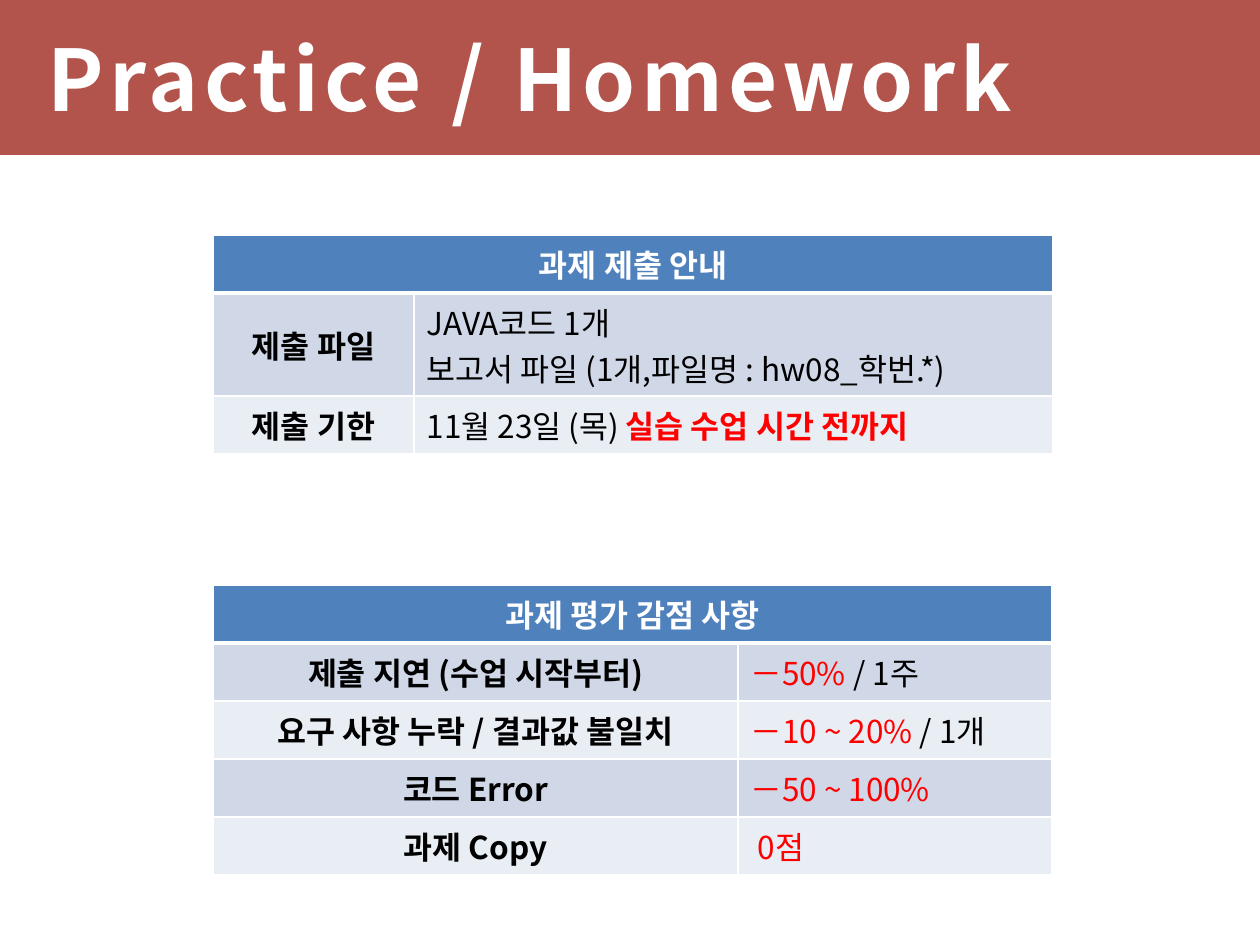
from lxml.etree import SubElement
from pptx import Presentation
from pptx.dml.color import RGBColor
from pptx.enum.shapes import MSO_SHAPE as SHAPE
from pptx.enum.text import MSO_ANCHOR as ANCHOR, PP_ALIGN as ALIGN
from pptx.oxml.ns import qn
from pptx.util import Pt

PX = 914400 // 126
FONT = "Noto Sans CJK KR"
WHITE = RGBColor(0xFF, 0xFF, 0xFF)
BLACK = RGBColor(0, 0, 0)
RED = RGBColor(0xFF, 0, 0)
BRICK = RGBColor(0x9B, 0x1F, 0x13)
BLUE = RGBColor(0x4F, 0x81, 0xBD)
BANDS = RGBColor(0xD0, 0xD8, 0xE8), RGBColor(0xE9, 0xED, 0xF4)

HEAD = {"size": Pt(18), "bold": True, "color": WHITE}
LABEL = {**HEAD, "color": BLACK}
BODY = {**LABEL, "bold": False}
ALERT = {**BODY, "color": RED}
STRONG = {**ALERT, "bold": True}
TITLE = {**HEAD, "size": Pt(48.5)}

SUBMISSION = [
    ("제출 파일", [[("JAVA코드 1개", BODY)],
               [("보고서 파일 (1개,파일명 : hw08_학번.*)", BODY)]]),
    ("제출 기한", [[("11월 23일 (목) ", BODY), ("실습 수업 시간 전까지", STRONG)]]),
]
DEDUCTIONS = [
    ("제출 지연 (수업 시작부터)", [[("－50%", ALERT), (" / 1주", BODY)]]),
    ("요구 사항 누락 / 결과값 불일치", [[("－10 ~ 20%", ALERT), (" / 1개", BODY)]]),
    ("코드 Error", [[("－50 ~ 100%", ALERT)]]),
    ("과제 Copy", [[(" 0점", ALERT)]]),
]


def px(*values):
    return [v * PX for v in values]


def add_run(p, text, fmt):
    r = p.add_run()
    r.text = text
    r.font.name = FONT
    for key, value in fmt.items():
        if key == "color":
            r.font.color.rgb = value
        else:
            setattr(r.font, key, value)
    SubElement(r.font._element, qn("a:ea"), typeface=FONT)
    return r


def write(tf, paragraphs, align=ALIGN.LEFT):
    for i, runs in enumerate(paragraphs):
        p = tf.add_paragraph() if i else tf.paragraphs[0]
        p.alignment = align
        for text, fmt in runs:
            add_run(p, text, fmt)


def add_banner(s):
    sp = s.shapes.add_shape(SHAPE.RECTANGLE, *px(0, 0, 1260, 155))
    sp.shadow.inherit = False
    sp.fill.solid()
    sp.fill.fore_color.rgb = BRICK
    sp.line.fill.background()
    color = sp.fill._xPr.find(qn("a:solidFill"))[0]
    SubElement(color, qn("a:alpha"), val="76000")


def add_title(s, text):
    tf = s.shapes.add_textbox(*px(35, 0, 1191, 155)).text_frame
    tf.word_wrap = True
    tf.vertical_anchor = ANCHOR.MIDDLE
    r = add_run(tf.paragraphs[0], text, TITLE)
    r.font._element.set("spc", "300")


def style_cell(cell, row):
    tcPr = cell._tc.get_or_add_tcPr()
    thick = {0: "lnB", 1: "lnT"}.get(row)
    for side in ("lnL", "lnR", "lnT", "lnB"):
        ln = SubElement(tcPr, qn(f"a:{side}"), w=str(Pt(3 if side == thick else 1)))
        fill = SubElement(ln, qn("a:solidFill"))
        SubElement(fill, qn("a:srgbClr"), val=str(WHITE))
    cell.fill.solid()
    cell.fill.fore_color.rgb = BANDS[(row - 1) % 2] if row else BLUE
    cell.vertical_anchor = ANCHOR.MIDDLE


def add_grid(s, left, top, widths, heights, heading, rows):
    frame = s.shapes.add_table(len(heights), len(widths),
                               *px(left, top, sum(widths), sum(heights)))
    table = frame.table
    for col, width in zip(table.columns, widths):
        col.width = width * PX
    for i, height in enumerate(heights):
        table.rows[i].height = height * PX
        for j in range(len(widths)):
            style_cell(table.cell(i, j), i)
    table.cell(0, 0).merge(table.cell(0, len(widths) - 1))
    write(table.cell(0, 0).text_frame, [[(heading, HEAD)]], ALIGN.CENTER)
    for i, (label, content) in enumerate(rows, 1):
        write(table.cell(i, 0).text_frame, [[(label, LABEL)]], ALIGN.CENTER)
        write(table.cell(i, 1).text_frame, content)


def main():
    prs = Presentation()
    prs.slide_width, prs.slide_height = px(1260, 945)
    s = prs.slides.add_slide(prs.slide_layouts[6])
    add_banner(s)
    add_title(s, "Practice / Homework")
    add_grid(s, 213, 585, (525, 314), [58] * 5, "과제 평가 감점 사항", DEDUCTIONS)
    add_grid(s, 213, 235, (201, 639), (58, 103, 58), "과제 제출 안내", SUBMISSION)
    prs.save("out.pptx")


if __name__ == "__main__":
    main()
